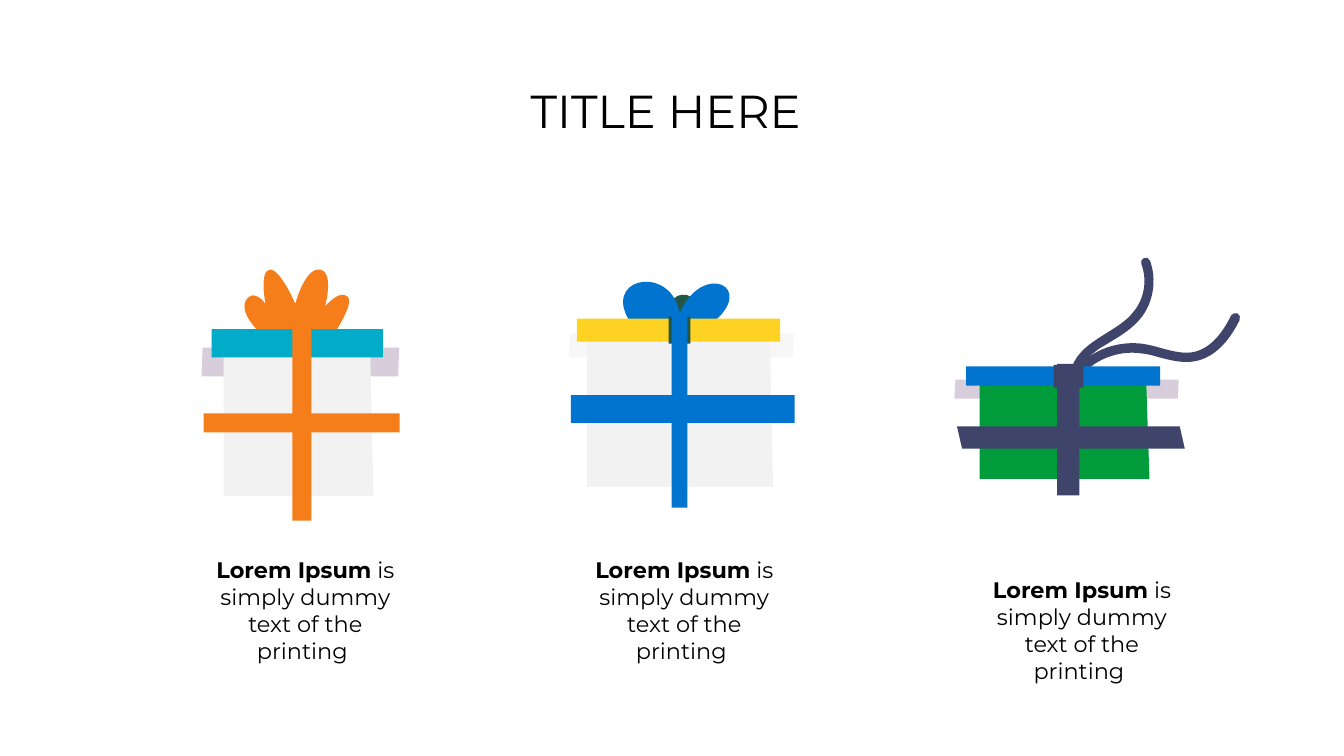
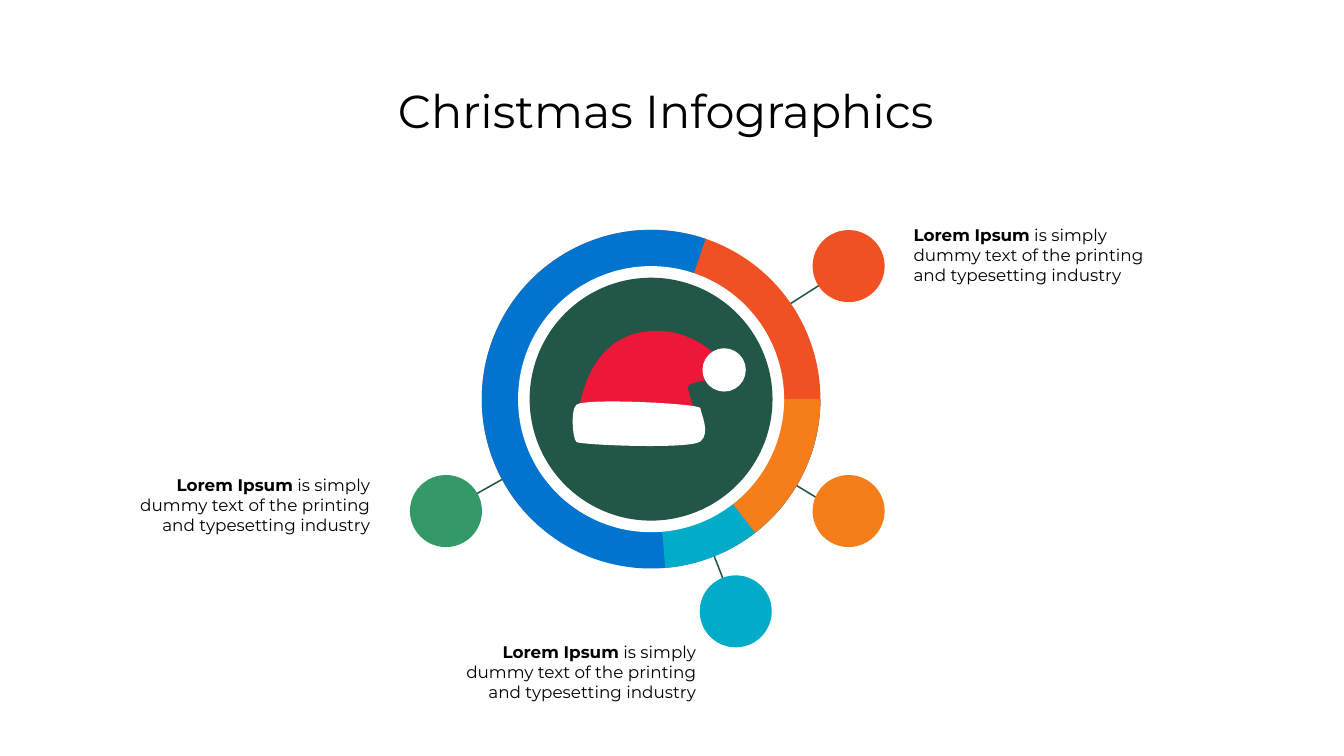
from math import ceil, cos, radians, sin, tan

from lxml import etree
from pptx import Presentation
from pptx.dml.color import RGBColor
from pptx.enum.shapes import MSO_CONNECTOR, MSO_SHAPE
from pptx.enum.text import MSO_ANCHOR, MSO_AUTO_SIZE, PP_ALIGN
from pptx.oxml.ns import qn
from pptx.util import Inches, Pt

FONT = "Montserrat"
BLACK, WHITE, PALE = "000000", "FFFFFF", "F2F2F2"
ORANGE, RED, TEAL, BLUE = "F57E1A", "F05123", "02ABC8", "0074CF"
PINE, NAVY, PLUM, GRAY = "225747", "3F446B", "40084E", "D9D9D9"
GREEN, MINT, YELLOW, SCARLET = "009B3A", "339966", "FDD222", "EC1739"
CURVE_STEPS = 12
WHEEL_RADIUS = 3.36
SATELLITE_RADIUS = 1.43 / 2

ORANGE_BOW = [
    (1.2, 1.29), (1.2, 1.29, 0.73, 0.88, 0.88, 0.61),
    (1.04, 0.35, 1.27, 0.68, 1.27, 0.68), (1.27, 0.68, 1.14, 0.04, 1.35, 0),
    (1.56, -0.03, 1.86, 0.68, 1.86, 0.68), (1.86, 0.68, 2.05, -0.05, 2.35, 0),
    (2.64, 0.05, 2.45, 0.73, 2.45, 0.73), (2.45, 0.73, 2.74, 0.38, 2.9, 0.54),
    (3.05, 0.69, 2.55, 1.39, 2.55, 1.39),
]
BOW_CENTER = [
    (2.08, 0.75), (2.07, 0.78, 2.02, 0.77, 2, 0.75),
    (1.98, 0.73, 1.98, 0.69, 1.97, 0.66), (1.97, 0.57, 1.97, 0.48, 2.01, 0.41),
    (2.05, 0.35, 2.1, 0.3, 2.16, 0.27), (2.21, 0.25, 2.27, 0.24, 2.33, 0.25),
    (2.44, 0.27, 2.51, 0.39, 2.54, 0.5), (2.55, 0.54, 2.56, 0.58, 2.55, 0.62),
    (2.54, 0.7, 2.49, 0.77, 2.43, 0.81), (2.36, 0.86, 2.29, 0.88, 2.21, 0.91),
]
BLUE_BOW = [
    (2.1, 0.87), (2.1, 0.87, 1.46, 1.39, 1.13, 0.63),
    (0.8, -0.13, 2.04, -0.31, 2.2, 0.62), (2.63, -0.43, 3.78, 0.08, 2.81, 0.84),
]
UPPER_TAIL = [
    (2.59, 2.95), (2.56, 2.95, 2.54, 2.94, 2.52, 2.91),
    (2.36, 2.71, 2.29, 2.52, 2.3, 2.34), (2.31, 2.09, 2.48, 1.85, 2.8, 1.64),
    (2.87, 1.59, 2.94, 1.55, 3, 1.51), (3.21, 1.38, 3.41, 1.26, 3.55, 1.08),
    (3.77, 0.82, 3.83, 0.45, 3.71, 0.13), (3.69, 0.08, 3.71, 0.03, 3.76, 0.01),
    (3.81, -0.01, 3.86, 0.01, 3.88, 0.06), (4.02, 0.44, 3.95, 0.89, 3.7, 1.2),
    (3.54, 1.4, 3.32, 1.54, 3.1, 1.67), (3.04, 1.71, 2.97, 1.75, 2.9, 1.79),
    (2.63, 1.97, 2.49, 2.16, 2.48, 2.35), (2.48, 2.48, 2.54, 2.63, 2.67, 2.8),
    (2.7, 2.84, 2.69, 2.9, 2.65, 2.93), (2.63, 2.94, 2.61, 2.95, 2.59, 2.95),
]
LOWER_TAIL = [
    (2.45, 2.58), (2.41, 2.58, 2.38, 2.56, 2.36, 2.53),
    (2.3, 2.39, 2.36, 2.22, 2.53, 2.08), (2.85, 1.79, 3.29, 1.66, 3.72, 1.71),
    (3.85, 1.73, 3.98, 1.76, 4.11, 1.8), (4.34, 1.86, 4.56, 1.92, 4.77, 1.87),
    (5.05, 1.8, 5.29, 1.56, 5.49, 1.15), (5.51, 1.11, 5.57, 1.09, 5.62, 1.11),
    (5.66, 1.13, 5.68, 1.19, 5.66, 1.24), (5.43, 1.7, 5.15, 1.97, 4.81, 2.05),
    (4.56, 2.11, 4.3, 2.04, 4.06, 1.98), (3.94, 1.94, 3.81, 1.91, 3.69, 1.9),
    (3.32, 1.85, 2.93, 1.97, 2.65, 2.21), (2.58, 2.28, 2.5, 2.38, 2.53, 2.45),
    (2.55, 2.5, 2.53, 2.55, 2.48, 2.58), (2.47, 2.58, 2.46, 2.58, 2.45, 2.58),
]
HAT_CAP = [
    (-1.48, 0.62), (-1.48, 0.62, -1.46, -1, -0.31, -1.3),
    (0.84, -1.59, 1.51, -0.63, 1.51, -0.63), (1.32, -0.41),
    (1.32, -0.41, 0.79, -0.34, 0.74, -0.27), (0.68, -0.21, 1, 0.57, 1, 0.57),
    (1, 0.57, -1, 0.81, -1.48, 0.62),
]
HAT_BRIM = [
    (-1.48, 0.11), (-1.6, 0.2, -1.56, 0.79, -1.48, 0.85),
    (-1.4, 0.91, 0.76, 1, 0.98, 0.84), (1.19, 0.67, 0.98, 0.27, 0.98, 0.18),
    (0.98, 0.09, -1.29, -0.03, -1.48, 0.11),
]

GIFTS = [
    {"origin": (4, 5.35), "bows": [(ORANGE_BOW, ORANGE)],
     "shadow": ((0, 1.55, 3.92, 0.57), PLUM), "body": ((0.44, 1.37, 2.97, 3.12), PALE),
     "bands": [((0.2, 1.18, 3.4, 0.56), TEAL), ((1.8, 1.09, 0.38, 3.89), ORANGE),
               ((0.04, 2.85, 3.89, 0.38), ORANGE)]},
    {"origin": (11.29, 5.6), "bows": [(BOW_CENTER, PINE), (BLUE_BOW, BLUE)],
     "shadow": ((0, 1.02, 4.46, 0.47), GRAY), "body": ((0.36, 0.87, 3.69, 3.19), PALE),
     "bands": [((0.16, 0.72, 4.03, 0.46), YELLOW), ((1.98, 0.68, 0.43, 0.54), PINE),
               ((2.04, 0.65, 0.31, 3.82), BLUE), ((0.04, 2.24, 4.44, 0.55), BLUE)]},
    {"origin": (18.94, 5.11), "bows": [(UPPER_TAIL, NAVY), (LOWER_TAIL, NAVY)],
     "shadow": ((0, 2.42, 4.45, 0.38), PLUM), "body": ((0.5, 2.29, 3.37, 2.1), GREEN),
     "bands": [((0.23, 2.16, 3.85, 0.38), BLUE), ((1.97, 2.13, 0.59, 0.45), NAVY),
               ((2.04, 2.11, 0.44, 2.61), NAVY), ((0.05, 3.35, 4.52, 0.44, -0.1), NAVY)]},
]
GIFT_CAPTIONS = [(4.03, 10.99), (11.55, 10.99), (19.44, 11.39)]

SECTORS = [(64.5, -224, RED), (-71.2, -360, BLUE), (53.2, 0, ORANGE), (85.2, 52.1, TEAL)]
SATELLITES = [
    ((-4.07, 2.22), MINT), ((3.92, 2.22), ORANGE),
    ((3.92, -2.64), RED), ((1.68, 4.21), TEAL),
]
SPOKES = [
    ((-4.07, 2.22), (-0.49, 0.2)), ((3.92, 2.34), (1, 0.57)),
    ((3.92, -2.63), (0.78, -0.63)), ((1.68, 4.21), (0.56, 1.34)),
]
WHEEL_CAPTIONS = [
    ((18.03, 4.4), PP_ALIGN.LEFT), ((8.71, 12.68), PP_ALIGN.RIGHT),
    ((2.24, 9.36), PP_ALIGN.RIGHT),
]


def rgb(color):
    """Turn a hex string into a colour."""
    return RGBColor.from_string(color)


def paint(shape, color, opacity=100):
    """Give a shape a plain fill without line or shadow."""
    shape.shadow.inherit = False
    shape.fill.solid()
    shape.fill.fore_color.rgb = rgb(color)
    shape.line.fill.background()
    if opacity < 100:
        fill_color = shape._element.spPr.find(qn("a:solidFill"))[0]
        etree.SubElement(fill_color, qn("a:alpha")).set("val", str(opacity * 1000))


def flatten(outline):
    """Sample an outline of line points and cubic segments to find its extent."""
    points = [outline[0]]
    for segment in outline[1:]:
        if len(segment) == 2:
            points.append(segment)
            continue
        controls = [points[-1], segment[:2], segment[2:4], segment[4:]]
        for step in range(1, CURVE_STEPS + 1):
            t = step / CURVE_STEPS
            weights = ((1 - t) ** 3, 3 * t * (1 - t) ** 2, 3 * t * t * (1 - t), t ** 3)
            points.append(tuple(
                sum(weight * control[axis] for weight, control in zip(weights, controls))
                for axis in (0, 1)))
    return points


def set_curves(shape, origin, outline):
    """Replace the sampled path of a freeform with true cubic segments."""
    path = next(shape._element.iter(qn("a:path")))
    for command in list(path):
        path.remove(command)
    for index, segment in enumerate(outline):
        name = "cubicBezTo" if len(segment) == 6 else "lnTo" if index else "moveTo"
        command = etree.SubElement(path, qn(f"a:{name}"))
        for x, y in zip(segment[::2], segment[1::2]):
            point = etree.SubElement(command, qn("a:pt"))
            point.set("x", str(Inches(origin[0] + x) - shape.left))
            point.set("y", str(Inches(origin[1] + y) - shape.top))
    etree.SubElement(path, qn("a:close"))


def add_outline(group, origin, outline, color, opacity=100):
    """Draw a closed outline relative to an origin."""
    points = [(Inches(origin[0] + x), Inches(origin[1] + y)) for x, y in flatten(outline)]
    builder = group.shapes.build_freeform(*points[0])
    builder.add_line_segments(points[1:], close=True)
    shape = builder.convert_to_shape()
    set_curves(shape, origin, outline)
    paint(shape, color, opacity)


def add_band(group, origin, box, color, opacity=100):
    """Draw a rectangle, or a parallelogram when the box carries a skew."""
    left, top, width, height, *skew = box
    if not skew:
        paint(group.shapes.add_shape(
            MSO_SHAPE.RECTANGLE, Inches(origin[0] + left), Inches(origin[1] + top),
            Inches(width), Inches(height)), color, opacity)
        return
    top_shift, bottom_shift = max(skew[0], 0), max(-skew[0], 0)
    right, bottom = left + width, top + height
    add_outline(group, origin, [
        (left + top_shift, top), (right - bottom_shift, top),
        (right - top_shift, bottom), (left + bottom_shift, bottom)], color, opacity)


def add_disc(group, center, radius, color):
    """Draw a filled circle around a centre."""
    paint(group.shapes.add_shape(
        MSO_SHAPE.OVAL, Inches(center[0] - radius), Inches(center[1] - radius),
        Inches(2 * radius), Inches(2 * radius)), color)


def add_text(slide, box, runs, size, align):
    """Add a wrapping text box from (text, bold) runs."""
    text_frame = slide.shapes.add_textbox(*map(Inches, box)).text_frame
    text_frame.word_wrap = True
    paragraph = text_frame.paragraphs[0]
    paragraph.alignment = align
    for text, bold in runs:
        run = paragraph.add_run()
        run.text = text
        run.font.name = FONT
        run.font.size = Pt(size)
        run.font.bold = bold
        run.font.color.rgb = rgb(BLACK)
    return text_frame


def add_title(slide, text):
    """Add the centred slide title."""
    text_frame = add_text(slide, (1.83, 0.8, 23, 2.9), [(text, False)], 66, PP_ALIGN.CENTER)
    text_frame.vertical_anchor = MSO_ANCHOR.MIDDLE
    text_frame.paragraphs[0].line_spacing = 0.9


def add_caption(slide, box, text, size, align):
    """Add a caption with a bold lead."""
    text_frame = add_text(slide, box, [("Lorem Ipsum", True), (text, False)], size, align)
    text_frame.auto_size = MSO_AUTO_SIZE.SHAPE_TO_FIT_TEXT


def add_gift(slide, origin, bows, shadow, body, bands):
    """Draw one wrapped gift from its top-left corner."""
    group = slide.shapes.add_group_shape()
    for outline, color in bows:
        add_outline(group, origin, outline, color)
    shadow_box, shadow_color = shadow
    add_band(group, origin, (*shadow_box, 0.02), shadow_color, 20)
    (left, top, width, height), body_color = body
    right, bottom = left + width, top + height
    add_outline(group, origin, [
        (left, top), (left, bottom), (right, bottom), (right - 0.07, top)], body_color)
    for box, color in bands:
        add_band(group, origin, box, color)


def add_spoke(group, center, outer, inner):
    """Link a satellite to the wheel."""
    ends = [Inches(center[axis] + point[axis]) for point in (outer, inner) for axis in (0, 1)]
    connector = group.shapes.add_connector(MSO_CONNECTOR.STRAIGHT, *ends)
    connector.line.color.rgb = rgb(PINE)
    connector.line.width = Pt(2.19)
    etree.SubElement(connector._element.spPr, qn("a:effectLst"))


def sector_outline(start, end):
    """Outline a sector with one cubic segment per quarter turn or less."""
    count = ceil(abs(end - start) / 90)
    step = radians(end - start) / count
    pull = 4 / 3 * tan(step / 4)
    outline = [(0, 0), (WHEEL_RADIUS * cos(radians(start)), WHEEL_RADIUS * sin(radians(start)))]
    for index in range(count):
        a = radians(start) + index * step
        b = a + step
        outline.append(tuple(WHEEL_RADIUS * value for value in (
            cos(a) - pull * sin(a), sin(a) + pull * cos(a),
            cos(b) + pull * sin(b), sin(b) - pull * cos(b), cos(b), sin(b))))
    return outline


def add_wheel(slide, center):
    """Draw the segmented wheel, its hat and its satellites around a centre."""
    group = slide.shapes.add_group_shape()
    for outer, inner in SPOKES:
        add_spoke(group, center, outer, inner)
    for start, end, color in SECTORS:
        add_outline(group, center, sector_outline(start, end), color)
    add_disc(group, center, 2.64, WHITE)
    add_disc(group, center, 2.41, PINE)
    add_outline(group, center, HAT_CAP, SCARLET)
    add_outline(group, center, HAT_BRIM, WHITE)
    add_disc(group, (center[0] + 1.45, center[1] - 0.58), 0.43, WHITE)
    for (x, y), color in SATELLITES:
        add_disc(group, (center[0] + x, center[1] + y), SATELLITE_RADIUS, color)


def build_gifts_slide(slide):
    """Build the slide with three gifts."""
    add_title(slide, "TITLE HERE ")
    for gift in GIFTS:
        add_gift(slide, **gift)
    for left, top in GIFT_CAPTIONS:
        add_caption(slide, (left, top, 4.06, 2.26),
                    " is simply dummy text of the printing ", 32, PP_ALIGN.CENTER)


def build_wheel_slide(slide):
    """Build the slide with the wheel."""
    add_wheel(slide, (12.92, 7.92))
    add_title(slide, "Christmas Infographics ")
    for (left, top), align in WHEEL_CAPTIONS:
        add_caption(slide, (left, top, 5.2, 1.31),
                    " is simply dummy text of the printing and typesetting industry", 24, align)


def main():
    """Build and save the presentation."""
    presentation = Presentation()
    presentation.slide_width = Inches(26.67)
    presentation.slide_height = Inches(15)
    for build in (build_gifts_slide, build_wheel_slide):
        build(presentation.slides.add_slide(presentation.slide_layouts[6]))
    presentation.save("out.pptx")


if __name__ == "__main__":
    main()
